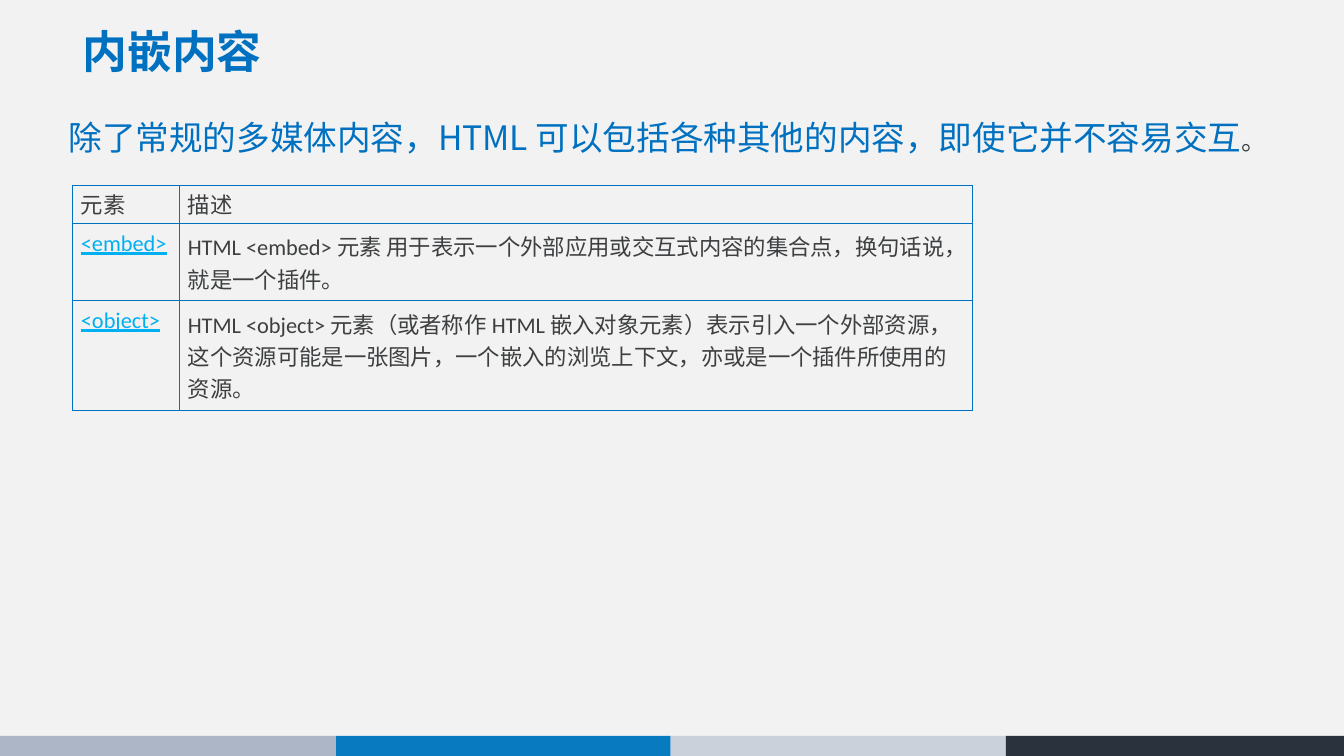
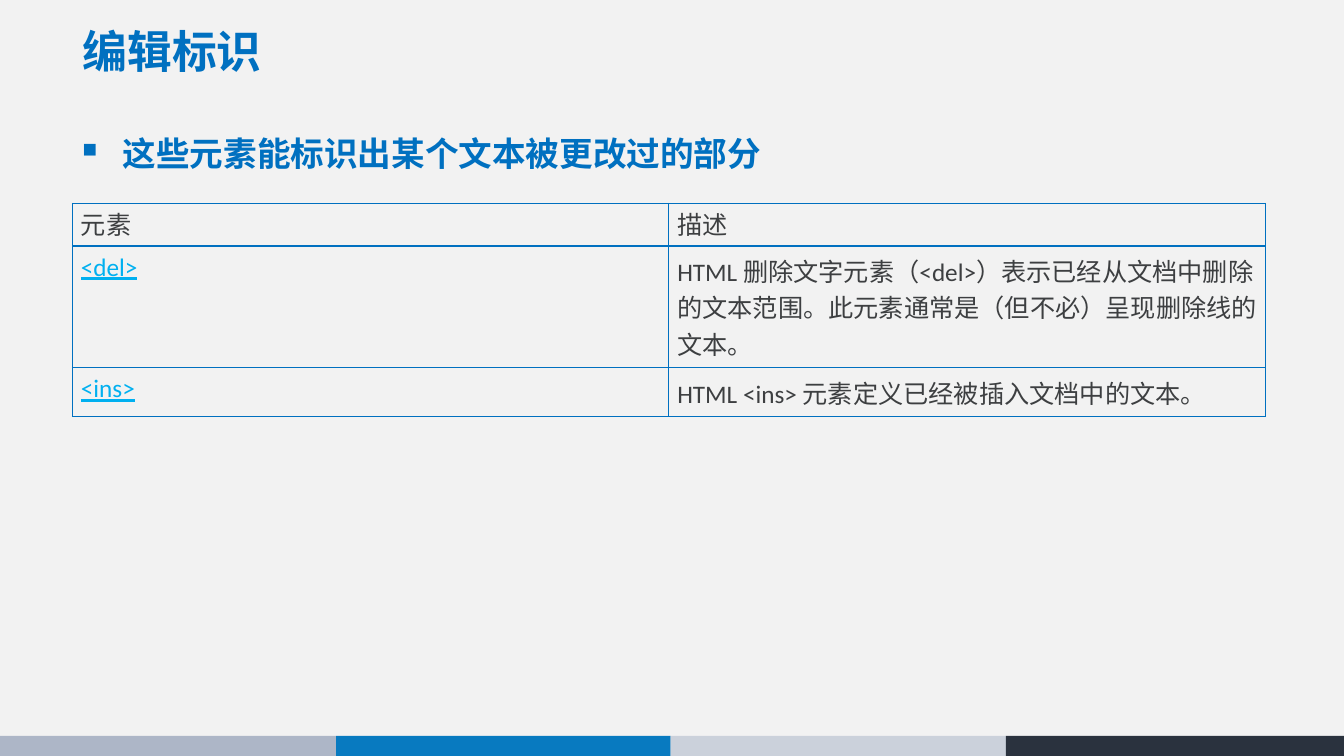
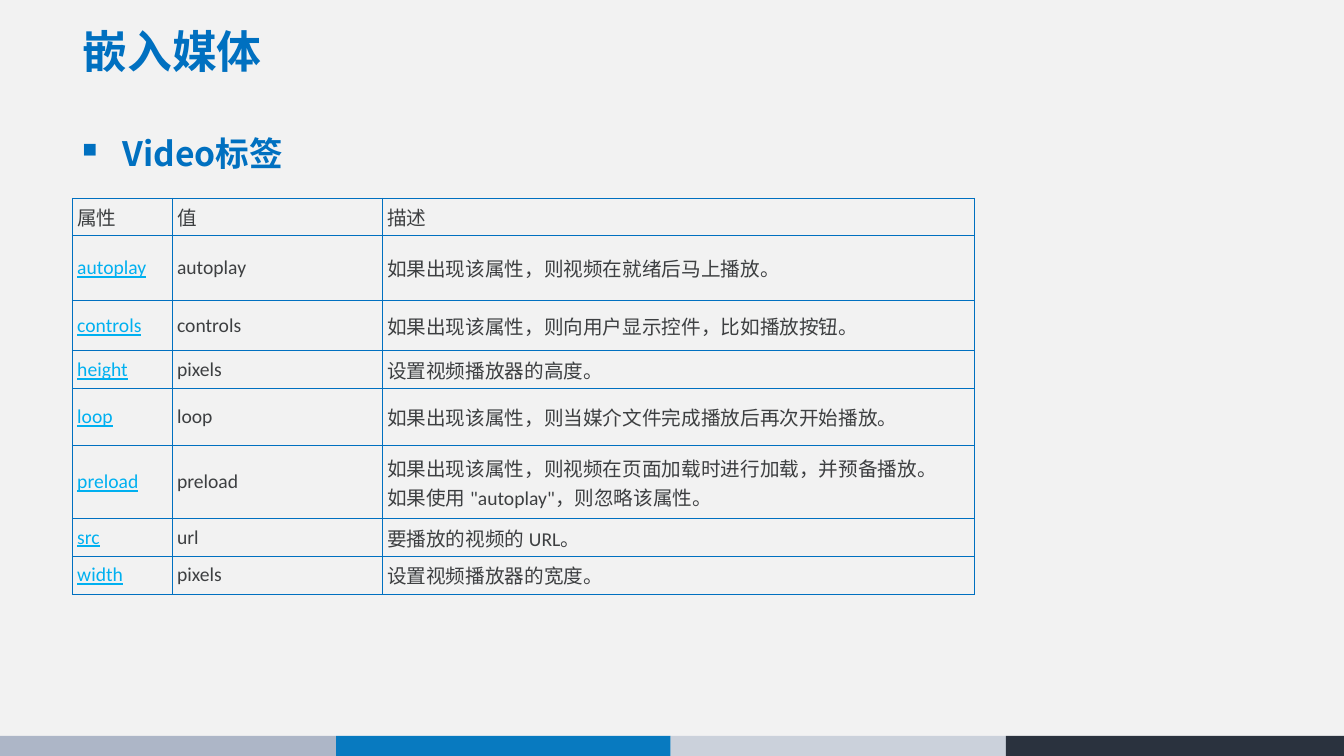
from itertools import pairwise

from pptx import Presentation
from pptx.dml.color import RGBColor
from pptx.enum.lang import MSO_LANGUAGE_ID as Language
from pptx.enum.shapes import MSO_SHAPE as Shape
from pptx.enum.text import MSO_ANCHOR as Anchor, MSO_AUTO_SIZE as AutoSize, PP_ALIGN as Align
from pptx.oxml import parse_xml
from pptx.oxml.ns import nsdecls, qn
from pptx.util import Pt

COLORS = {
    "page": "F2F2F2",
    "accent": "0070C0",
    "text": "3D3F41",
    "link": "00B0F0",
}
BAND_COLORS = ["ADB6C7", "087AC0", "CBD1DB", "2A323E"]
BAND_EDGES = [0, 240, 479, 718.5, 960]
BAND_TOP = 525.6
HEADING_FONT = "Noto Sans CJK SC"
BODY_FONT = "Calibri"
WIDTH, HEIGHT = 960, 540
LEFT, CONTENT_WIDTH = 51.8, 852

# Cell margins: left, top, right, bottom
ELEMENT_HEADER_MARGINS = (6, 1.4, 6, 2.9)
ELEMENT_MARGINS = (6, 4.3, 6, 4.3)
ATTRIBUTE_HEADER_MARGINS = (3.4, 2.9, 7.9, 2.9)
ATTRIBUTE_MARGINS = (3.4, 3.4, 7.9, 3.4)

EMBEDDED_ROWS = [
    ("元素", "描述"),
    ("<embed>", "HTML <embed> 元素 用于表示一个外部应用或交互式内容的集合点，换句话说，就是一个插件。"),
    ("<object>", "HTML <object> 元素（或者称作 HTML 嵌入对象元素）表示引入一个外部资源，"
                 "这个资源可能是一张图片，一个嵌入的浏览上下文，亦或是一个插件所使用的资源。"),
]
EDIT_ROWS = [
    ("元素", "描述"),
    ("<del>", "HTML 删除文字元素（<del>）表示已经从文档中删除的文本范围。"
              "此元素通常是（但不必）呈现删除线的文本。"),
    ("<ins>", "HTML <ins> 元素定义已经被插入文档中的文本。"),
]
VIDEO_ROWS = [
    ("属性", "值", "描述"),
    ("autoplay", "autoplay", "如果出现该属性，则视频在就绪后马上播放。"),
    ("controls", "controls", "如果出现该属性，则向用户显示控件，比如播放按钮。"),
    ("height", "pixels", "设置视频播放器的高度。"),
    ("loop", "loop", "如果出现该属性，则当媒介文件完成播放后再次开始播放。"),
    ("preload", "preload", "如果出现该属性，则视频在页面加载时进行加载，并预备播放。\n"
                           "如果使用 \"autoplay\"，则忽略该属性。"),
    ("src", "url", "要播放的视频的 URL。"),
    ("width", "pixels", "设置视频播放器的宽度。"),
]


def rgb(name):
    return RGBColor.from_string(COLORS[name])


def write(paragraph, text, size=18, color="text", font=BODY_FONT, bold=False, underline=False):
    """Append one formatted run to a paragraph."""
    run = paragraph.add_run()
    run.text = text
    style = run.font
    style.size, style.name = Pt(size), font
    style.bold, style.underline = bold, underline
    style.color.rgb = rgb(color)
    style.language_id = Language.SIMPLIFIED_CHINESE
    latin = run._r.rPr.find(qn("a:latin"))
    latin.addnext(parse_xml(f'<a:ea {nsdecls("a")} typeface="{HEADING_FONT}"/>'))


def add_text_frame(slide, left, top, width, height):
    frame = slide.shapes.add_textbox(Pt(left), Pt(top), Pt(width), Pt(height)).text_frame
    frame.word_wrap = True
    return frame


def add_title(slide, text):
    frame = add_text_frame(slide, LEFT, 13.3, CONTENT_WIDTH, 50.4)
    frame.vertical_anchor = Anchor.MIDDLE
    paragraph = frame.paragraphs[0]
    paragraph.line_spacing = 0.9
    write(paragraph, text, size=32, color="accent", font=HEADING_FONT, bold=True)


def add_bullet(slide, text):
    paragraph = add_text_frame(slide, LEFT, 88.6, CONTENT_WIDTH, 48).paragraphs[0]
    paragraph.alignment = Align.JUSTIFY
    paragraph.line_spacing = 1.1
    paragraph.space_before = Pt(12)
    write(paragraph, text, size=24, color="accent", font=HEADING_FONT, bold=True)
    properties = paragraph._p.get_or_add_pPr()
    properties.set("marL", str(Pt(28.8)))
    properties.set("indent", str(-Pt(28.8)))
    for mark in (
        f'<a:buClr {nsdecls("a")}><a:srgbClr val="{COLORS["accent"]}"/></a:buClr>',
        f'<a:buSzPct {nsdecls("a")} val="60000"/>',
        f'<a:buChar {nsdecls("a")} char="■"/>',
    ):
        properties.append(parse_xml(mark))


def add_intro(slide, text, ending):
    frame = add_text_frame(slide, 41.8, 79.9, 872.6, 36)
    frame.auto_size = AutoSize.SHAPE_TO_FIT_TEXT
    paragraph = frame.paragraphs[0]
    write(paragraph, text, size=24, color="accent", font=HEADING_FONT)
    write(paragraph, ending)


def fill_cell(cell, text, margins, anchor, **style):
    cell.margin_left, cell.margin_top, cell.margin_right, cell.margin_bottom = map(Pt, margins)
    cell.vertical_anchor = anchor
    cell.fill.background()
    frame = cell.text_frame
    for number, line in enumerate(text.split("\n")):
        paragraph = frame.add_paragraph() if number else frame.paragraphs[0]
        write(paragraph, line, **style)


def add_borders(table_frame):
    for properties in table_frame.element.iter(qn("a:tcPr")):
        for place, side in enumerate("LRTB"):
            properties.insert(place, parse_xml(
                f'<a:ln{side} {nsdecls("a")} w="{Pt(1)}"><a:solidFill>'
                f'<a:srgbClr val="{COLORS["accent"]}"/></a:solidFill></a:ln{side}>'))


def add_reference_table(slide, rows, top, widths, heights, size,
                        header_margins=ELEMENT_HEADER_MARGINS, margins=ELEMENT_MARGINS,
                        link_anchor=Anchor.TOP):
    """Bordered table with a plain header row and links in the first column."""
    table_frame = slide.shapes.add_table(
        len(rows), len(widths), Pt(LEFT), Pt(top), Pt(sum(widths)), Pt(sum(heights)))
    table = table_frame.table
    table.first_row = table.horz_banding = False
    for column, width in zip(table.columns, widths):
        column.width = Pt(width)
    for row, height in zip(table.rows, heights):
        row.height = Pt(height)
    for r, texts in enumerate(rows):
        for c, text in enumerate(texts):
            is_link = r > 0 and c == 0
            fill_cell(table.cell(r, c), text,
                      margins if r else header_margins,
                      link_anchor if is_link else Anchor.MIDDLE,
                      size=size, color="link" if is_link else "text", underline=is_link)
    add_borders(table_frame)


def set_up_master(master, slide):
    """Give the master its background and move the footer bands onto it."""
    master.background.fill.solid()
    master.background.fill.fore_color.rgb = rgb("page")
    for (start, end), color in zip(pairwise(BAND_EDGES), BAND_COLORS):
        band = slide.shapes.add_shape(
            Shape.RECTANGLE, Pt(start), Pt(BAND_TOP), Pt(end - start), Pt(HEIGHT - BAND_TOP))
        band.shadow.inherit = False
        band.fill.solid()
        band.fill.fore_color.rgb = RGBColor.from_string(color)
        band.line.fill.background()
        master.shapes.element.append(band.element)


def main():
    deck = Presentation()
    deck.slide_width, deck.slide_height = Pt(WIDTH), Pt(HEIGHT)
    blank = deck.slide_layouts[6]
    embedded, edits, video = (deck.slides.add_slide(blank) for _ in range(3))
    set_up_master(deck.slide_master, embedded)

    add_title(embedded, "内嵌内容")
    add_reference_table(embedded, EMBEDDED_ROWS, 132.3, [76.4, 566.6], [27.5, 55, 78.5], 16)
    add_intro(embedded, "除了常规的多媒体内容，HTML 可以包括各种其他的内容，即使它并不容易交互", "。")

    add_title(edits, "编辑标识")
    add_bullet(edits, "这些元素能标识出某个文本被更改过的部分")
    add_reference_table(edits, EDIT_ROWS, 145.4, [CONTENT_WIDTH / 2] * 2, [30.4, 87, 35], 18)

    add_title(video, "嵌入媒体")
    add_bullet(video, "Video标签")
    add_reference_table(video, VIDEO_ROWS, 141.8, [71.3, 150, 423],
                        [26.3, 46.8, 35.8, 27, 40.8, 52, 27, 27], 14,
                        header_margins=ATTRIBUTE_HEADER_MARGINS, margins=ATTRIBUTE_MARGINS,
                        link_anchor=Anchor.MIDDLE)

    deck.save("out.pptx")


if __name__ == "__main__":
    main()
